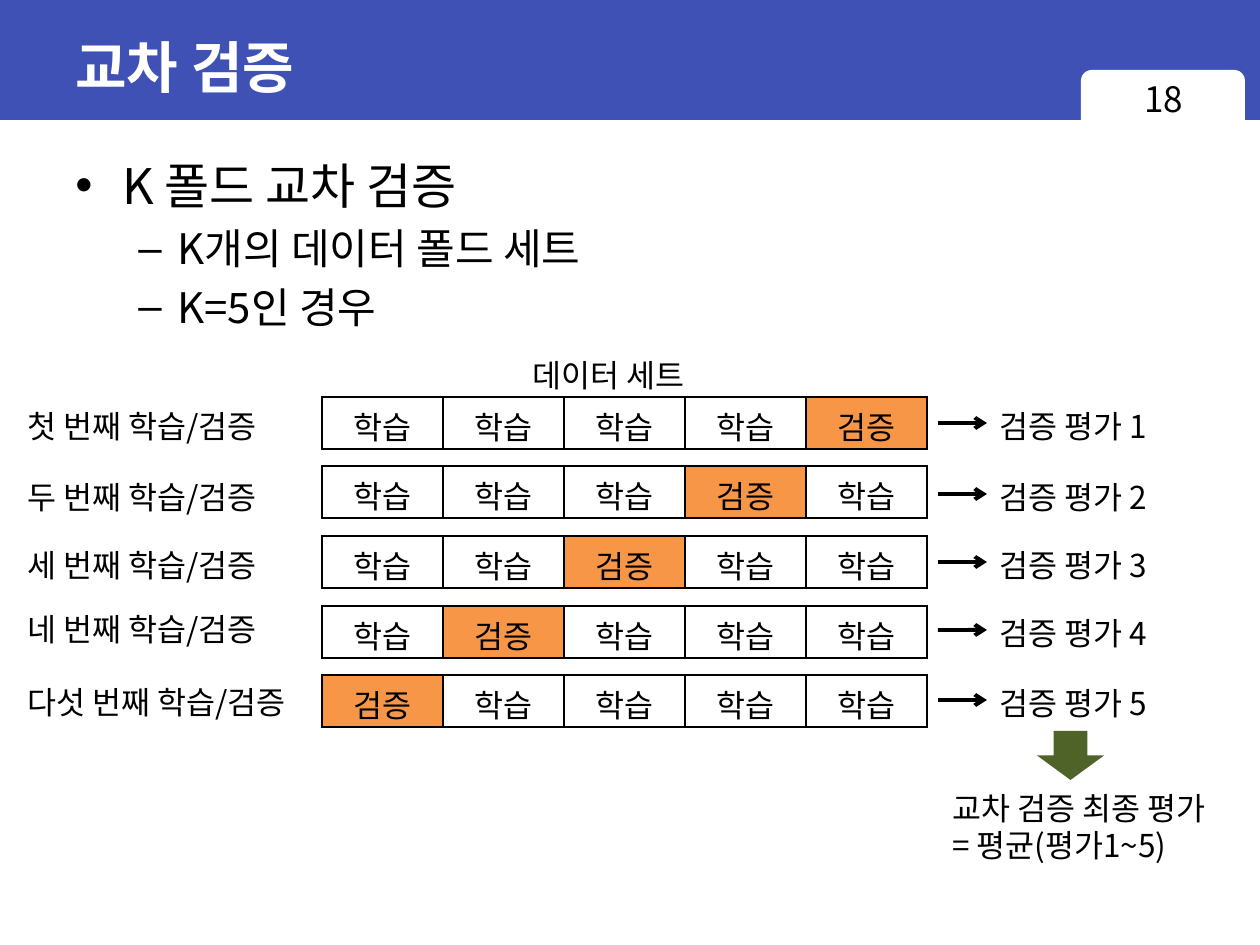
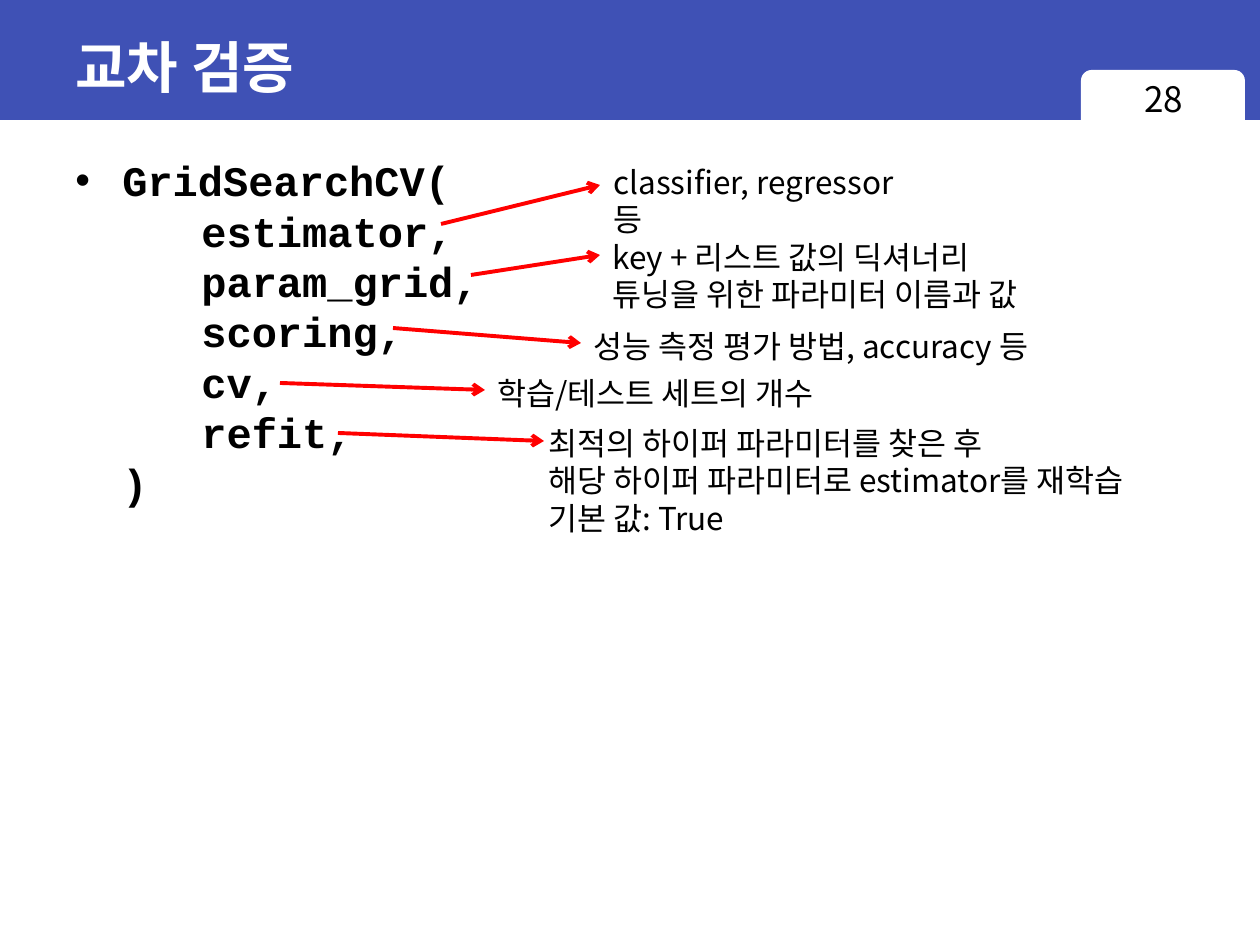
from dataclasses import dataclass
from typing import Optional

import pptx
import pptx.dml.color
import pptx.enum.shapes
import pptx.enum.text
import pptx.oxml.ns
import pptx.util
from lxml import etree

PX_PER_INCH = 126
SHAPES = pptx.enum.shapes.MSO_SHAPE
ALIGN = pptx.enum.text.PP_ALIGN
ANCHOR = pptx.enum.text.MSO_ANCHOR
qn = pptx.oxml.ns.qn


@dataclass(frozen=True)
class Theme:
    band: str = "3F51B5"
    white: str = "FFFFFF"
    black: str = "000000"
    validation: str = "F79646"
    final: str = "4F6228"
    pointer: str = "FF0000"
    font: str = "Noto Sans CJK KR"
    title_font: str = "Arial"
    code_font: str = "Courier New"
    title_size: int = 32
    heading_size: int = 28
    body_size: int = 24
    number_size: int = 20
    label_size: int = 18
    line_height: float = 1.2
    top_shift: float = 0.15
    line_width: float = 2.25


THEME = Theme()


@dataclass(frozen=True)
class Box:
    left: int
    top: int
    width: int
    height: int


@dataclass(frozen=True)
class Style:
    size: int = THEME.label_size
    font: str = THEME.font
    color: str = THEME.black
    bold: bool = False


@dataclass(frozen=True)
class BodyLine:
    text: str
    style: Style
    margin: int
    hanging: int = 0
    bullet: str = ""
    space_before: float = 0


@dataclass(frozen=True)
class Fold:
    label: str
    label_top: int
    label_width: int
    result_top: int


@dataclass(frozen=True)
class Note:
    """A remark and its pointer; without an end the pointer joins the remark."""
    lines: tuple[str, ...]
    box: Box
    start: tuple[int, int]
    end: Optional[tuple[int, int]] = None


LABEL = Style()
CODE = Style(THEME.body_size, THEME.code_font, bold=True)
HEADING = Style(THEME.heading_size)
SUBHEADING = Style(THEME.body_size)
TITLE = Style(THEME.title_size, THEME.title_font, THEME.white, True)

BODY_BOX = Box(63, 145, 1182, 774)
BULLET_INDENT = 47
SUB_INDENT, SUB_HANGING = 102, 39
CODE_INDENT = 126

OVERVIEW = (
    BodyLine("K 폴드 교차 검증", HEADING, BULLET_INDENT, BULLET_INDENT, "•"),
    BodyLine("K개의 데이터 폴드 세트", SUBHEADING, SUB_INDENT, SUB_HANGING, "–", 4.8),
    BodyLine("K=5인 경우", SUBHEADING, SUB_INDENT, SUB_HANGING, "–", 4.8),
)
PARAMETERS = ("estimator,", "param_grid,", "scoring,", "cv,", "refit,")
SIGNATURE = (
    BodyLine("GridSearchCV(", CODE, BULLET_INDENT, BULLET_INDENT, "•"),
    *(BodyLine(name, CODE, CODE_INDENT) for name in PARAMETERS),
    BodyLine(")", CODE, BULLET_INDENT),
)

FOLDS = (
    Fold("첫 번째 학습/검증", 398, 284, 398),
    Fold("두 번째 학습/검증", 469, 284, 469),
    Fold("세 번째 학습/검증", 537, 284, 537),
    Fold("네 번째 학습/검증", 601, 284, 605),
    Fold("다섯 번째 학습/검증", 674, 315, 675),
)
FOLD_LEFT, FOLD_TOP, FOLD_PITCH = 322, 397, 69.5
CELL_WIDTH, CELL_HEIGHT = 121, 52
LABEL_HEIGHT = 50

NOTES = (
    Note(("classifier, regressor 등",), Box(601, 154, 338, 50), (441, 224), (600, 185)),
    Note(("key + 리스트 값의 딕셔너리", "튜닝을 위한 파라미터 이름과 값"),
         Box(600, 229, 484, 89), (471, 275), (600, 255)),
    Note(("성능 측정 평가 방법, accuracy 등",), Box(581, 318, 499, 50), (393, 328)),
    Note(("학습/테스트 세트의 개수",), Box(485, 365, 379, 50), (280, 383)),
    Note(("최적의 하이퍼 파라미터를 찾은 후", "해당 하이퍼 파라미터로 estimator를 재학습",
          "기본 값: True"), Box(536, 415, 651, 127), (338, 433), (544, 441)),
)


def px(length: float) -> int:
    return round(length * 914400 / PX_PER_INCH)


def place(box: Box) -> tuple[int, ...]:
    return tuple(px(side) for side in (box.left, box.top, box.width, box.height))


def rgb(color: str) -> pptx.dml.color.RGBColor:
    return pptx.dml.color.RGBColor.from_string(color)


def format_runs(para, style: Style) -> None:
    for span in para.runs:
        span.font.size = pptx.util.Pt(style.size)
        span.font.bold = style.bold
        span.font.color.rgb = rgb(style.color)
        span.font.name = style.font
        east_asian = etree.SubElement(span._r.get_or_add_rPr(), qn("a:ea"))
        east_asian.set("typeface", THEME.font)


def add_shape(page, kind, box: Box, color: str):
    shape = page.shapes.add_shape(kind, *place(box))
    shape.shadow.inherit = False
    shape.fill.solid()
    shape.fill.fore_color.rgb = rgb(color)
    shape.line.fill.background()
    return shape


def add_frame(page, box: Box, size: int):
    """Add a wrapping text box whose first line sits slightly lower."""
    shape = page.shapes.add_textbox(*place(box))
    shape.text_frame.word_wrap = True
    shape.text_frame.margin_top = px(6 + size * THEME.top_shift)
    return shape


def set_line_height(para, size: int) -> None:
    para.line_spacing = pptx.util.Pt(round(size * THEME.line_height, 1))


def add_label(page, lines: tuple[str, ...], box: Box, style: Style = LABEL,
              align=ALIGN.LEFT):
    shape = add_frame(page, box, style.size)
    shape.text_frame.text = "\n".join(lines)
    for para in shape.text_frame.paragraphs:
        para.alignment = align
        set_line_height(para, style.size)
        format_runs(para, style)
    return shape


def add_body(page, lines: tuple[BodyLine, ...]) -> None:
    frame = add_frame(page, BODY_BOX, lines[0].style.size).text_frame
    for index, line in enumerate(lines):
        para = frame.add_paragraph() if index else frame.paragraphs[0]
        para.text = line.text
        properties = para._p.get_or_add_pPr()
        properties.set("marL", str(px(line.margin)))
        properties.set("indent", str(-px(line.hanging)))
        if line.bullet:
            etree.SubElement(properties, qn("a:buFont")).set("typeface", "Arial")
            etree.SubElement(properties, qn("a:buChar")).set("char", line.bullet)
        set_line_height(para, line.style.size)
        para.space_before = pptx.util.Pt(line.space_before)
        format_runs(para, line.style)


def add_arrow(page, start: tuple[int, int], end: Optional[tuple[int, int]],
              color: str, target) -> None:
    """Draw to the given end, or to the middle of the target's left side."""
    finish = end or start
    arrow = page.shapes.add_connector(
        pptx.enum.shapes.MSO_CONNECTOR.STRAIGHT,
        *(px(value) for value in (*start, *finish)))
    if end is None:
        arrow.end_connect(target, 1)
    arrow.line.color.rgb = rgb(color)
    arrow.line.width = pptx.util.Pt(THEME.line_width)
    etree.SubElement(arrow.line._get_or_add_ln(), qn("a:tailEnd")).set("type", "arrow")
    etree.SubElement(arrow._element.spPr, qn("a:effectLst"))


def add_borders(cell) -> None:
    properties = cell._tc.get_or_add_tcPr()
    for side in ("lnL", "lnR", "lnT", "lnB"):
        line = etree.SubElement(properties, qn(f"a:{side}"), w=str(pptx.util.Pt(1)))
        fill = etree.SubElement(line, qn("a:solidFill"))
        etree.SubElement(fill, qn("a:srgbClr")).set("val", THEME.black)


def add_fold_table(page, top: float, validation_column: int) -> None:
    count = len(FOLDS)
    box = Box(FOLD_LEFT, round(top), CELL_WIDTH * count, CELL_HEIGHT)
    table = page.shapes.add_table(1, count, *place(box)).table
    table.first_row = table.horz_banding = False
    for column, cell in enumerate(table.rows[0].cells):
        is_validation = column == validation_column
        cell.text_frame.text = "검증" if is_validation else "학습"
        para = cell.text_frame.paragraphs[0]
        para.alignment = ALIGN.CENTER
        format_runs(para, LABEL)
        add_borders(cell)
        if is_validation:
            cell.fill.solid()
            cell.fill.fore_color.rgb = rgb(THEME.validation)
        else:
            cell.fill.background()


def add_page(deck, number: int, body: tuple[BodyLine, ...]):
    page = deck.slides.add_slide(deck.slide_layouts[6])
    add_shape(page, SHAPES.RECTANGLE, Box(0, 0, 1260, 120), THEME.band)
    add_shape(page, SHAPES.ROUNDED_RECTANGLE, Box(1081, 70, 164, 64), THEME.white)
    title = page.shapes.add_textbox(*place(Box(63, 14, 1134, 105))).text_frame
    title.word_wrap = True
    title.vertical_anchor = ANCHOR.MIDDLE
    title.text = "교차 검증"
    format_runs(title.paragraphs[0], TITLE)
    add_body(page, body)
    add_label(page, (str(number),), Box(1081, 69, 165, 66),
              Style(THEME.number_size), ALIGN.CENTER)
    return page


def add_folds_page(deck) -> None:
    page = add_page(deck, 18, OVERVIEW)
    add_label(page, ("데이터 세트",), Box(520, 347, 196, LABEL_HEIGHT))
    for index, fold in enumerate(FOLDS):
        add_fold_table(page, FOLD_TOP + index * FOLD_PITCH, len(FOLDS) - 1 - index)
        add_label(page, (fold.label,),
                  Box(15, fold.label_top, fold.label_width, LABEL_HEIGHT))
        result = add_label(page, (f"검증 평가 {index + 1}",),
                           Box(987, fold.result_top, 193, LABEL_HEIGHT))
        start = (938, fold.result_top + LABEL_HEIGHT // 2)
        add_arrow(page, start, None, THEME.black, result)
    add_shape(page, SHAPES.DOWN_ARROW, Box(1037, 731, 67, 49), THEME.final)
    add_label(page, ("교차 검증 최종 평가", "= 평균(평가1~5)"), Box(940, 780, 314, 89))


def add_grid_search_page(deck) -> None:
    page = add_page(deck, 28, SIGNATURE)
    for note in NOTES:
        remark = add_label(page, note.lines, note.box)
        add_arrow(page, note.start, note.end, THEME.pointer, remark)


def main() -> None:
    deck = pptx.Presentation()
    deck.slide_width, deck.slide_height = px(1260), px(945)
    add_folds_page(deck)
    add_grid_search_page(deck)
    deck.save("out.pptx")


if __name__ == "__main__":
    main()
